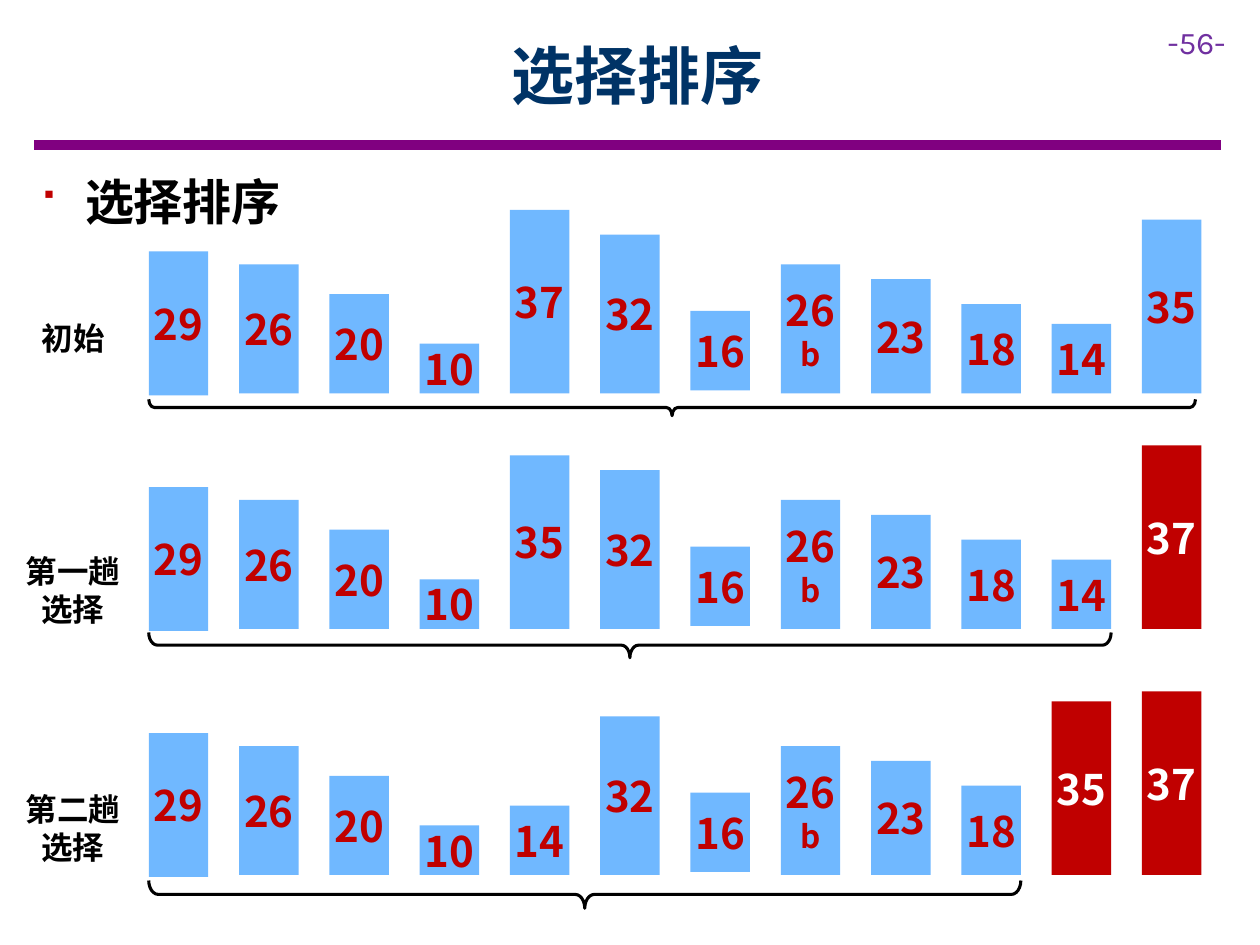
from dataclasses import dataclass

from lxml import etree
from pptx import Presentation
from pptx.dml.color import RGBColor
from pptx.enum.shapes import MSO_CONNECTOR, MSO_SHAPE
from pptx.enum.text import MSO_ANCHOR, MSO_AUTO_SIZE, PP_ALIGN
from pptx.oxml.ns import qn
from pptx.slide import Slide
from pptx.util import Cm, Pt

RECTANGLE = MSO_SHAPE.RECTANGLE
BRACE = MSO_SHAPE.LEFT_BRACE
STRAIGHT = MSO_CONNECTOR.STRAIGHT
MIDDLE, TOP = MSO_ANCHOR.MIDDLE, MSO_ANCHOR.TOP
CENTER, LEFT = PP_ALIGN.CENTER, PP_ALIGN.LEFT
GROW, FIXED = MSO_AUTO_SIZE.SHAPE_TO_FIT_TEXT, MSO_AUTO_SIZE.NONE

BLACK = RGBColor(0x00, 0x00, 0x00)
WHITE = RGBColor(0xFF, 0xFF, 0xFF)
NAVY = RGBColor(0x00, 0x33, 0x66)
PURPLE = RGBColor(0x80, 0x00, 0x80)
VIOLET = RGBColor(0x70, 0x30, 0xA0)
RED = RGBColor(0xC0, 0x00, 0x00)
BLUE = RGBColor(0x70, 0xB8, 0xFF)

CJK_FONT = "Noto Sans CJK SC"
NUMBER_FONT = "Karla"

# Bar grid in centimetres; a bar is a tenth of its value tall
BAR_LEFT, BAR_WIDTH, BAR_PITCH = 3.0, 1.2, 1.82
BASE_SHIFT = {"29": 0.04, "16": -0.06}


@dataclass
class Label:
    lines: list[str]
    left: float
    top: float
    width: float
    height: float


@dataclass
class SortPass:
    label: Label
    values: str
    sorted_count: int
    baseline: float
    brace_top: float
    brace_length: float
    brace_depth: float


PASSES = [
    SortPass(Label(["初始"], 0.58, 6.3, 1.8, 1.02),
             "29 26 20 10 37 32 16 26b 23 18 14 35", 0, 7.93, 8.05, 21.1, 0.33),
    SortPass(Label(["第一趟", "选择"], 0.25, 11.0, 2.44, 1.8),
             "29 26 20 10 35 32 16 26b 23 18 14 37", 1, 12.68, 12.75, 19.4, 0.51),
    SortPass(Label(["第二趟", "选择"], 0.25, 15.8, 2.44, 1.8),
             "29 26 20 10 14 32 16 26b 23 18 35 37", 2, 17.64, 17.75, 17.58, 0.56),
]


def add_span(para, text: str, size: float, color: RGBColor,
             font: str = CJK_FONT, bold: bool = True) -> None:
    span = para.add_run()
    span.text = text
    span.font.size = Pt(size)
    span.font.bold = bold
    span.font.color.rgb = color
    span.font.name = font
    etree.SubElement(span.font._element, qn("a:ea"), typeface=font)


def write_lines(frame, lines: list[tuple[str, float]], color: RGBColor) -> None:
    for index, (text, size) in enumerate(lines):
        para = frame.add_paragraph() if index else frame.paragraphs[0]
        para.alignment = CENTER
        add_span(para, text, size, color)


def place(shape, left: float, top: float, width: float, height: float) -> None:
    shape.left, shape.top = Cm(left), Cm(top)
    shape.width, shape.height = Cm(width), Cm(height)


def add_bar(page: Slide, column: int, name: str, baseline: float, done: bool) -> None:
    number, suffix = name[:2], name[2:]
    height = int(number) / 10
    bottom = baseline + BASE_SHIFT.get(number, 0)
    bar = page.shapes.add_shape(
        RECTANGLE, Cm(BAR_LEFT + column * BAR_PITCH), Cm(bottom - height),
        Cm(BAR_WIDTH), Cm(height))
    bar.shadow.inherit = False
    bar.fill.solid()
    bar.fill.fore_color.rgb = RED if done else BLUE
    bar.line.fill.background()
    frame = bar.text_frame
    frame.vertical_anchor = MIDDLE
    frame.margin_left = frame.margin_right = 0
    frame.margin_top = frame.margin_bottom = Cm(0.25)
    lines = [(number, 24)] + ([(suffix, 18)] if suffix else [])
    write_lines(frame, lines, WHITE if done else RED)


def add_brace(page: Slide, top: float, length: float, depth: float) -> None:
    # The upright brace is turned about its centre to lie under the bars
    center_x, center_y = BAR_LEFT + length / 2, top + depth / 2
    brace = page.shapes.add_shape(
        BRACE, Cm(center_x - depth / 2), Cm(center_y - length / 2),
        Cm(depth), Cm(length))
    brace.rotation = 270
    brace.adjustments[0] = 0.341
    brace.adjustments[1] = 0.5
    brace.shadow.inherit = False
    brace.fill.solid()
    brace.fill.fore_color.rgb = WHITE
    brace.line.color.rgb = BLACK
    brace.line.width = Pt(1.75)


def add_label(page: Slide, label: Label) -> None:
    box = page.shapes.add_textbox(
        Cm(label.left), Cm(label.top), Cm(label.width), Cm(label.height))
    box.text_frame.word_wrap = False
    box.text_frame.auto_size = GROW
    write_lines(box.text_frame, [(line, 18) for line in label.lines], BLACK)


def add_bullet(para, mark: str, color: RGBColor) -> None:
    properties = para._p.get_or_add_pPr()
    properties.set("marL", str(Cm(0.95)))
    properties.set("indent", str(Cm(-0.95)))
    bullet_color = etree.SubElement(properties, qn("a:buClr"))
    etree.SubElement(bullet_color, qn("a:srgbClr"), val=str(color))
    etree.SubElement(properties, qn("a:buFont"), typeface="Wingdings")
    etree.SubElement(properties, qn("a:buChar"), char=mark)


def add_heading(page: Slide) -> None:
    # Rule under the title
    rule = page.shapes.add_connector(STRAIGHT, Cm(0.69), Cm(2.92), Cm(24.61), Cm(2.92))
    rule.line.color.rgb = PURPLE
    rule.line.width = Pt(6)
    etree.SubElement(rule._element.spPr, qn("a:effectLst"))

    # Page number
    box = page.shapes.add_textbox(Cm(23.29), Cm(0.33), Cm(2.11), Cm(1.02))
    box.text_frame.word_wrap = True
    box.text_frame.auto_size = GROW
    add_span(box.text_frame.paragraphs[0], "-56-", 18, VIOLET, NUMBER_FONT, False)

    # Title and list
    title, body = page.shapes.title, page.placeholders[1]
    place(title, 2.29, 0.23, 21.11, 2.54)
    title.text_frame.vertical_anchor = MIDDLE
    title.text_frame.auto_size = FIXED
    write_lines(title.text_frame, [("选择排序", 36)], NAVY)

    place(body, 0.51, 3.33, 24, 1.45)
    body.text_frame.vertical_anchor = TOP
    body.text_frame.auto_size = GROW
    para = body.text_frame.paragraphs[0]
    add_bullet(para, "■", RED)
    para.alignment = LEFT
    para.space_before = Pt(0)
    para.space_after = Pt(6)
    add_span(para, "选择排序", 28, BLACK)


def main() -> None:
    deck = Presentation()
    deck.slide_width, deck.slide_height = Cm(25.4), Cm(19.05)
    page = deck.slides.add_slide(deck.slide_layouts[1])
    add_heading(page)

    # One row of bars for each pass
    for sort_pass in PASSES:
        names = sort_pass.values.split()
        first_done = len(names) - sort_pass.sorted_count
        for column, name in enumerate(names):
            add_bar(page, column, name, sort_pass.baseline, column >= first_done)
        add_brace(page, sort_pass.brace_top, sort_pass.brace_length, sort_pass.brace_depth)
        add_label(page, sort_pass.label)

    deck.save("out.pptx")


if __name__ == "__main__":
    main()
